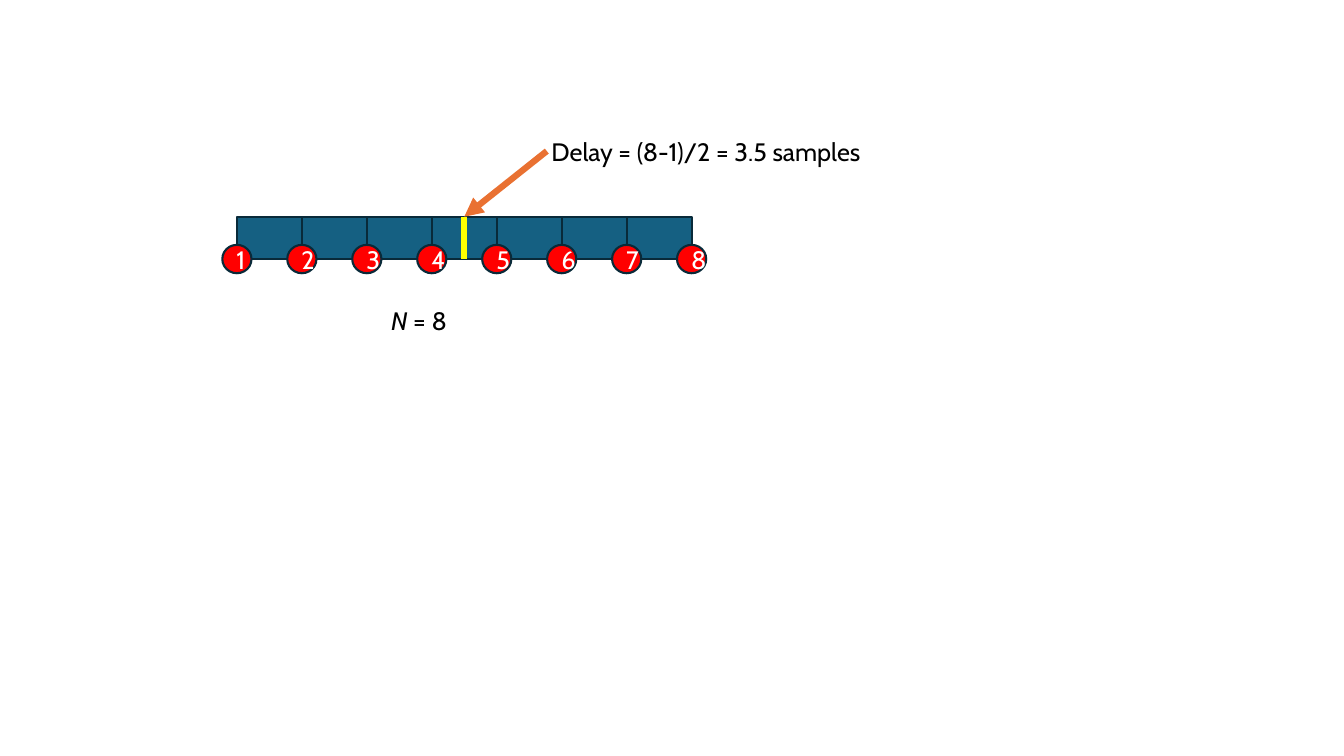
from lxml import etree
from pptx import Presentation
from pptx.dml.color import RGBColor
from pptx.enum.shapes import MSO_CONNECTOR, MSO_SHAPE
from pptx.enum.text import MSO_ANCHOR, MSO_AUTO_SIZE, PP_ALIGN
from pptx.oxml.ns import qn
from pptx.util import Inches, Pt

RECT, OVAL = MSO_SHAPE.RECTANGLE, MSO_SHAPE.OVAL
STRAIGHT = MSO_CONNECTOR.STRAIGHT
CENTER, MIDDLE = PP_ALIGN.CENTER, MSO_ANCHOR.MIDDLE
GROW = MSO_AUTO_SIZE.SHAPE_TO_FIT_TEXT

TAPS = 8
CELLS = TAPS - 1
LEFT, TOP = 2.35, 2.15
COL, ROW = 4.51 / CELLS, 0.42


def rgb(value):
    return RGBColor.from_string(value)


def add_run(p, text, size=18, color="000000", font="Cabin", italic=False):
    r = p.add_run()
    r.text = text
    r.font.size = Pt(size)
    r.font.name = font
    r.font.italic = italic
    r.font.color.rgb = rgb(color)


class DelayLine:
    """Draws the parts of a tapped delay line on a grid of cells."""

    cell, outline, tap_fill = "156082", "092A39", "FF0000"
    marker, pointer, tap_text = "FFFF00", "E97132", "FFFFFF"

    def __init__(self, slide):
        self.shapes = slide.shapes

    def point(self, col, row):
        return Inches(LEFT + col * COL), Inches(TOP + row * ROW)

    def box(self, col, row, cols, rows):
        return *self.point(col, row), Inches(cols * COL), Inches(rows * ROW)

    def shape(self, kind, col, row, cols, rows, fill):
        sp = self.shapes.add_shape(kind, *self.box(col, row, cols, rows))
        sp.shadow.inherit = False
        sp.fill.solid()
        sp.fill.fore_color.rgb = rgb(fill)
        sp.line.color.rgb = rgb(self.outline)
        sp.line.width = Pt(1.5)
        return sp

    def tap(self, number, cols=0.45, rows=0.67):
        sp = self.shape(OVAL, number - 1 - cols / 2, 1 - rows / 2, cols, rows, self.tap_fill)
        tf = sp.text_frame
        tf.vertical_anchor = MIDDLE
        p = tf.paragraphs[0]
        p.alignment = CENTER
        add_run(p, str(number), color=self.tap_text)

    def line(self, start, end, color, arrow=False):
        cx = self.shapes.add_connector(STRAIGHT, *self.point(*start), *self.point(*end))
        cx.line.color.rgb = rgb(color)
        cx.line.width = Pt(4.5)
        if arrow:
            etree.SubElement(cx.line._get_or_add_ln(), qn("a:tailEnd"), type="triangle")
        etree.SubElement(cx._element.spPr, qn("a:effectLst"))

    def label(self, col, row, cols, rows, *runs):
        tf = self.shapes.add_textbox(*self.box(col, row, cols, rows)).text_frame
        tf.word_wrap = True
        tf.auto_size = GROW
        for text, style in runs:
            add_run(tf.paragraphs[0], text, **style)


def main():
    prs = Presentation()
    prs.slide_width, prs.slide_height = Inches(13.33), Inches(7.5)
    s = DelayLine(prs.slides.add_slide(prs.slide_layouts[6]))

    for i in range(CELLS):
        s.shape(RECT, i, 0, 1, 1, s.cell)
    for number in range(1, TAPS + 1):
        s.tap(number)

    middle = CELLS / 2
    s.line((middle, 0), (middle, 1), s.marker)
    s.label(2.22, 1.98, 1.3, 2.4, ("N", {"italic": True}), (" = 8", {}))
    s.line((4.77, -1.55), (middle, 0), s.pointer, arrow=True)
    s.label(4.69, -2.02, 5.54, 0.95, ("Delay = (8-1)/2 = 3.5 samples", {}))
    prs.save("out.pptx")


if __name__ == "__main__":
    main()
